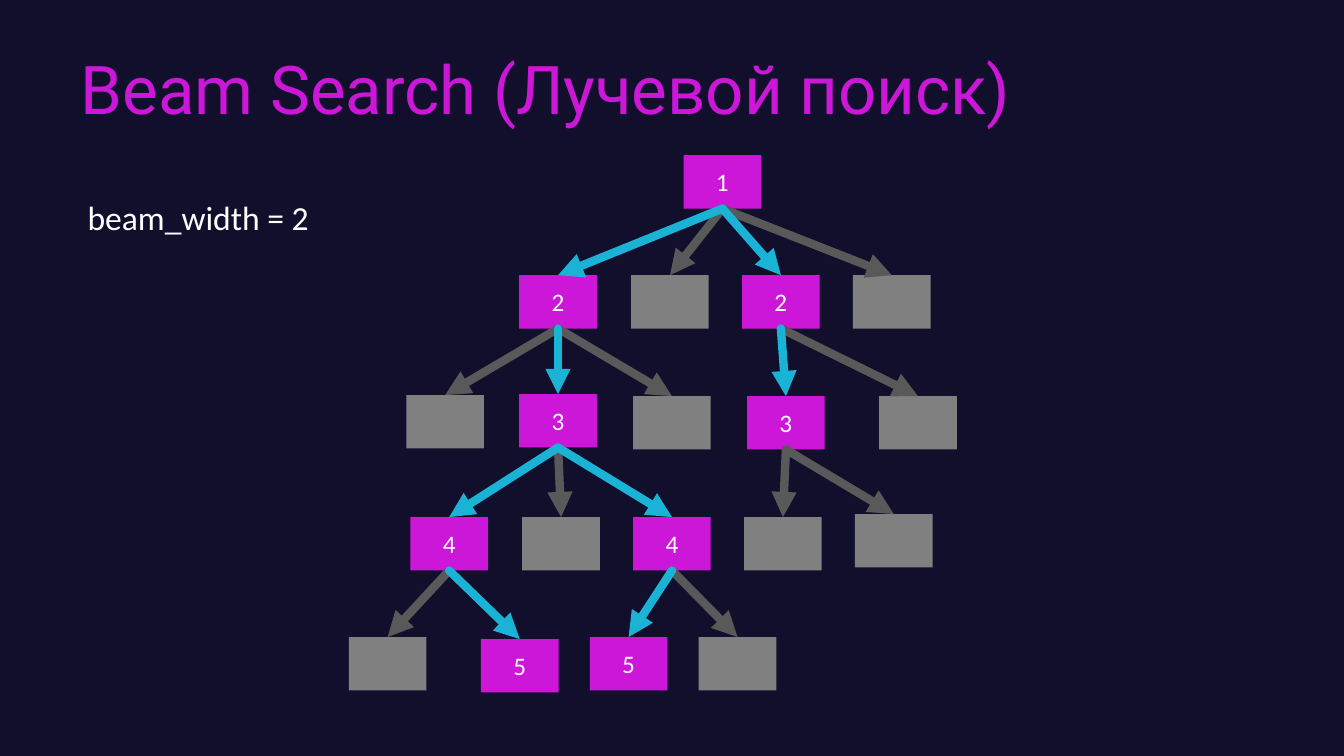
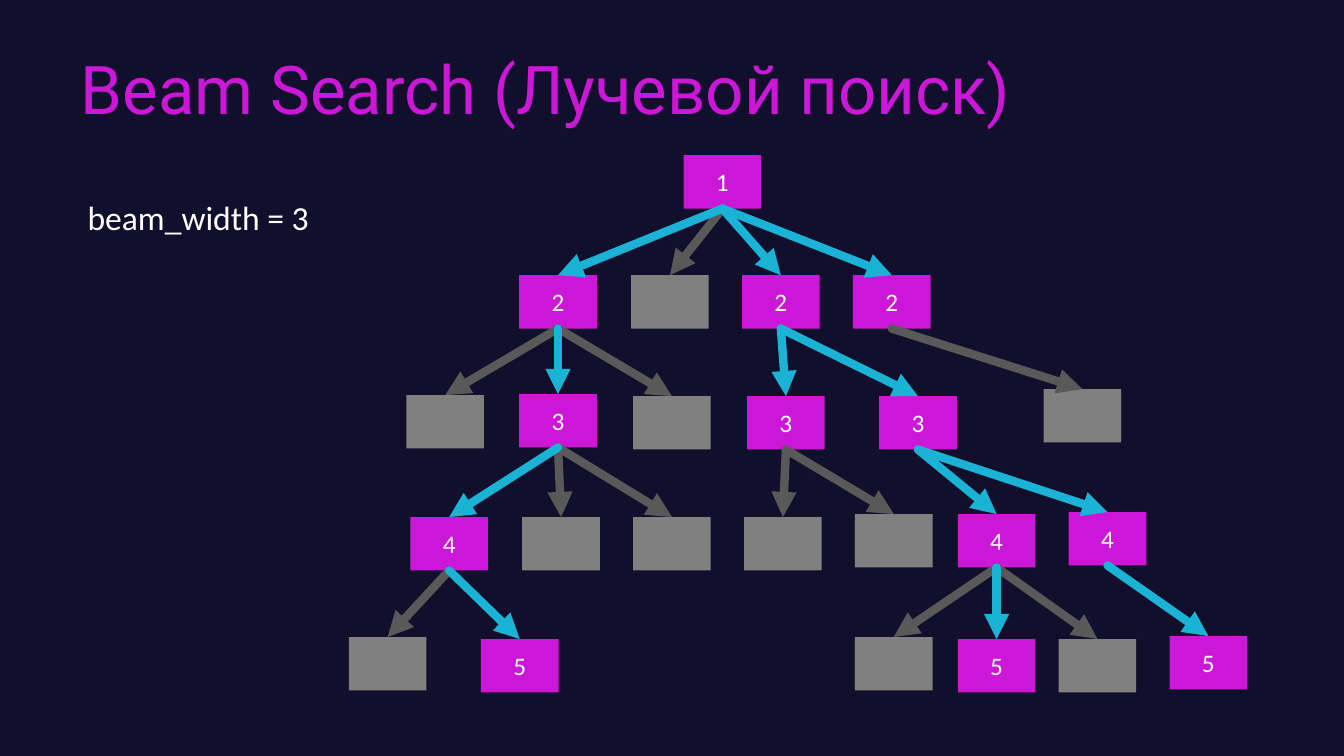
"""Build two slides that compare beam search trees of width two and three."""
from lxml import etree
from pptx import Presentation
from pptx import util as u
from pptx.dml import color
from pptx.enum import shapes, text
from pptx.oxml import ns

NIGHT, PINK, CYAN = "110F2C", "CC17D8", "1AB3D5"
GREY, DARK, WHITE = "808080", "595959", "FFFFFF"
WIDE, HIGH = 0.77, 0.53

# Each node: level and letter -> parent, left, top
BASE = {
    "1": (None, 6.78, 1.54),
    "2a": ("1", 5.15, 2.73),
    "2b": ("1", 6.26, 2.73),
    "2c": ("1", 7.36, 2.73),
    "2d": ("1", 8.46, 2.73),
    "3a": ("2a", 4.03, 3.92),
    "3b": ("2a", 5.15, 3.91),
    "3c": ("2a", 6.28, 3.93),
    "3d": ("2c", 7.41, 3.93),
    "3e": ("2c", 8.72, 3.93),
    "4a": ("3b", 4.07, 5.13),
    "4b": ("3b", 5.18, 5.13),
    "4c": ("3b", 6.28, 5.13),
    "4d": ("3d", 7.38, 5.13),
    "4e": ("3d", 8.48, 5.1),
    "5a": ("4a", 3.46, 6.32),
    "5b": ("4a", 4.77, 6.34),
}
TWO = {
    "5c": ("4c", 5.85, 6.32),
    "5d": ("4c", 6.93, 6.32),
}
THREE = {
    "3f": ("2d", 10.35, 3.86),
    "4f": ("3e", 9.5, 5.1),
    "4g": ("3e", 10.6, 5.08),
    "5e": ("4f", 8.48, 6.32),
    "5f": ("4f", 9.5, 6.34),
    "5g": ("4f", 10.5, 6.34),
    "5h": ("4g", 11.6, 6.31),
}
BEAMS = [
    (2, BASE | TWO, "1 2a 2c 3b 3d 4a 4c 5b 5c".split()),
    (3, BASE | THREE, "1 2a 2c 2d 3b 3d 3e 4a 4f 4g 5b 5f 5h".split()),
]


def hue(code):
    """Turn a hex string into a colour."""
    return color.RGBColor.from_string(code)


def write(frame, words, size=18, face="Calibri", tint=WHITE, side="LEFT",
          anchor="MIDDLE", wrap=True, fit="NONE", space=None):
    """Put formatted words into a text frame."""
    frame.text = words
    frame.word_wrap = wrap
    frame.auto_size = text.MSO_AUTO_SIZE[fit]
    frame.vertical_anchor = text.MSO_ANCHOR[anchor]
    line = frame.paragraphs[0]
    line.alignment = text.PP_ALIGN[side]
    line.line_spacing = space
    font = line.runs[0].font
    font.size, font.name = u.Pt(size), face
    font.color.rgb = hue(tint)


class Deck:
    """Hold the shared style and the current slide."""

    def __init__(self):
        """Set the slide size and the common background."""
        self.show = Presentation()
        self.show.slide_width = u.Inches(13.33)
        self.show.slide_height = u.Inches(7.5)
        fill = self.show.slide_master.background.fill
        fill.solid()
        fill.fore_color.rgb = hue(NIGHT)

    def page(self, title):
        """Start a slide with its title."""
        self.slide = self.show.slides.add_slide(self.show.slide_layouts[5])
        head = self.slide.shapes.title
        head.left, head.top = u.Inches(0.7), u.Inches(0.3)
        head.width, head.height = u.Inches(12.01), u.Inches(1.24)
        write(head.text_frame, title, size=48, face="Roboto", tint=PINK,
              space=0.9)

    def label(self, words):
        """Add the beam width label."""
        box = self.slide.shapes.add_textbox(
            u.Inches(0.77), u.Inches(1.9), u.Inches(2.42), u.Inches(0.5))
        write(box.text_frame, words, size=24, anchor="TOP", wrap=False,
              fit="SHAPE_TO_FIT_TEXT")

    def node(self, left, top, words, kept):
        """Add a tree node, numbered when the beam keeps it."""
        box = self.slide.shapes.add_shape(
            shapes.MSO_SHAPE.RECTANGLE, u.Inches(left), u.Inches(top),
            u.Inches(WIDE), u.Inches(HIGH))
        box.shadow.inherit = False
        box.fill.solid()
        box.fill.fore_color.rgb = hue(PINK if kept else GREY)
        box.line.fill.background()
        if kept:
            write(box.text_frame, words, side="CENTER")
        return box

    def edge(self, start, end, kept):
        """Join the bottom of one node to the top of another."""
        link = self.slide.shapes.add_connector(
            shapes.MSO_CONNECTOR.STRAIGHT, 0, 0, 0, 0)
        link.begin_connect(start, 2)
        link.end_connect(end, 0)
        link.line.width = u.Pt(6)
        link.line.color.rgb = hue(CYAN if kept else DARK)
        props = link.element.spPr
        line = props.find(ns.qn("a:ln"))
        line.set("cap", "rnd")
        etree.SubElement(line, ns.qn("a:tailEnd"), type="triangle")
        etree.SubElement(props, ns.qn("a:effectLst"))

    def tree(self, nodes, beam):
        """Draw all nodes, then dropped edges, then kept edges."""
        boxes = {name: self.node(left, top, name[0], name in beam)
                 for name, (_, left, top) in nodes.items()}
        for kept in (False, True):
            for name, (root, _, _) in nodes.items():
                if root and (name in beam) == kept:
                    self.edge(boxes[root], boxes[name], kept)


def main():
    """Build and save the slides."""
    deck = Deck()
    for width, nodes, beam in BEAMS:
        deck.page("Beam Search (Лучевой поиск)")
        deck.label(f"beam_width = {width}")
        deck.tree(nodes, beam)
    deck.show.save("out.pptx")


if __name__ == "__main__":
    main()
